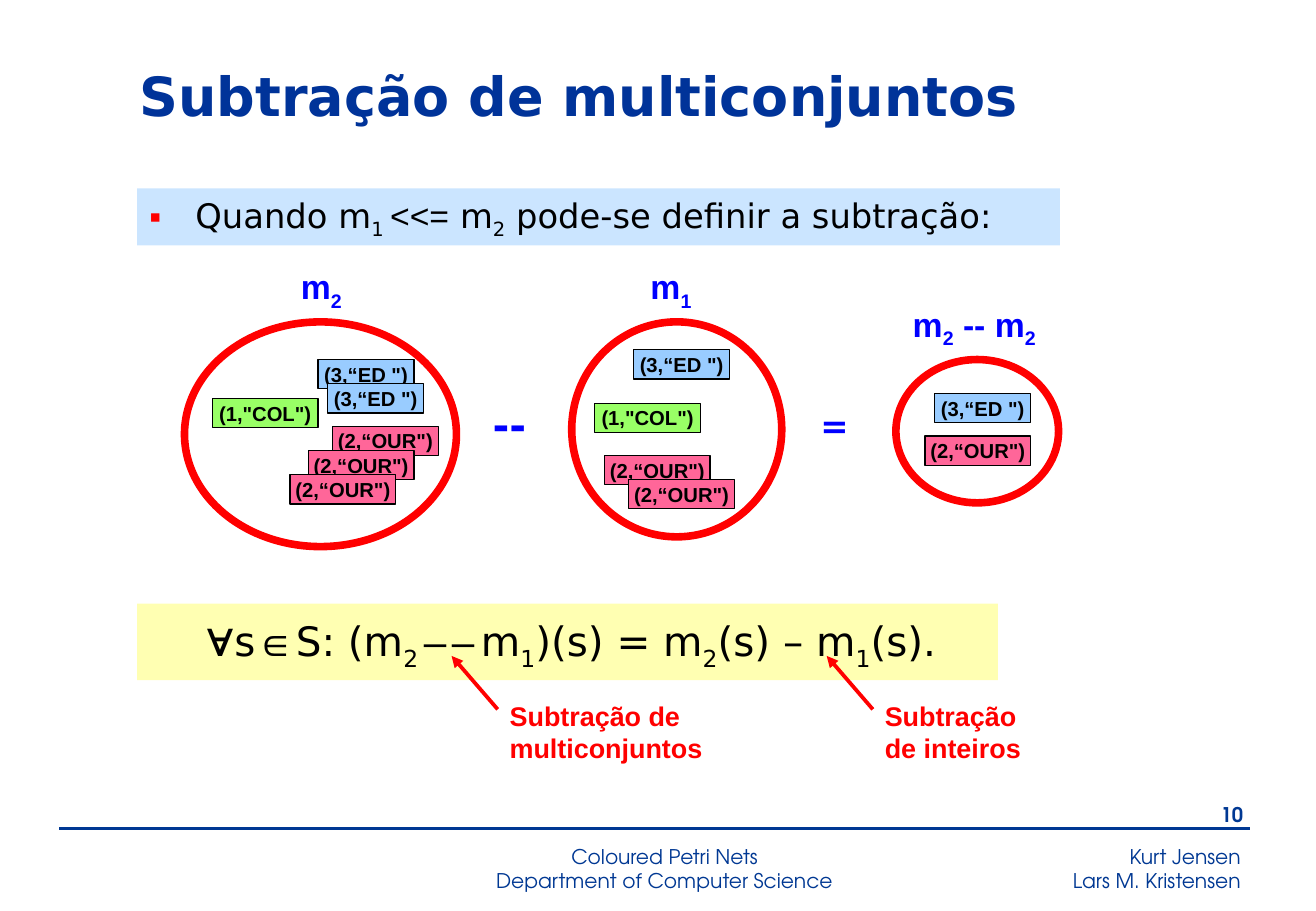
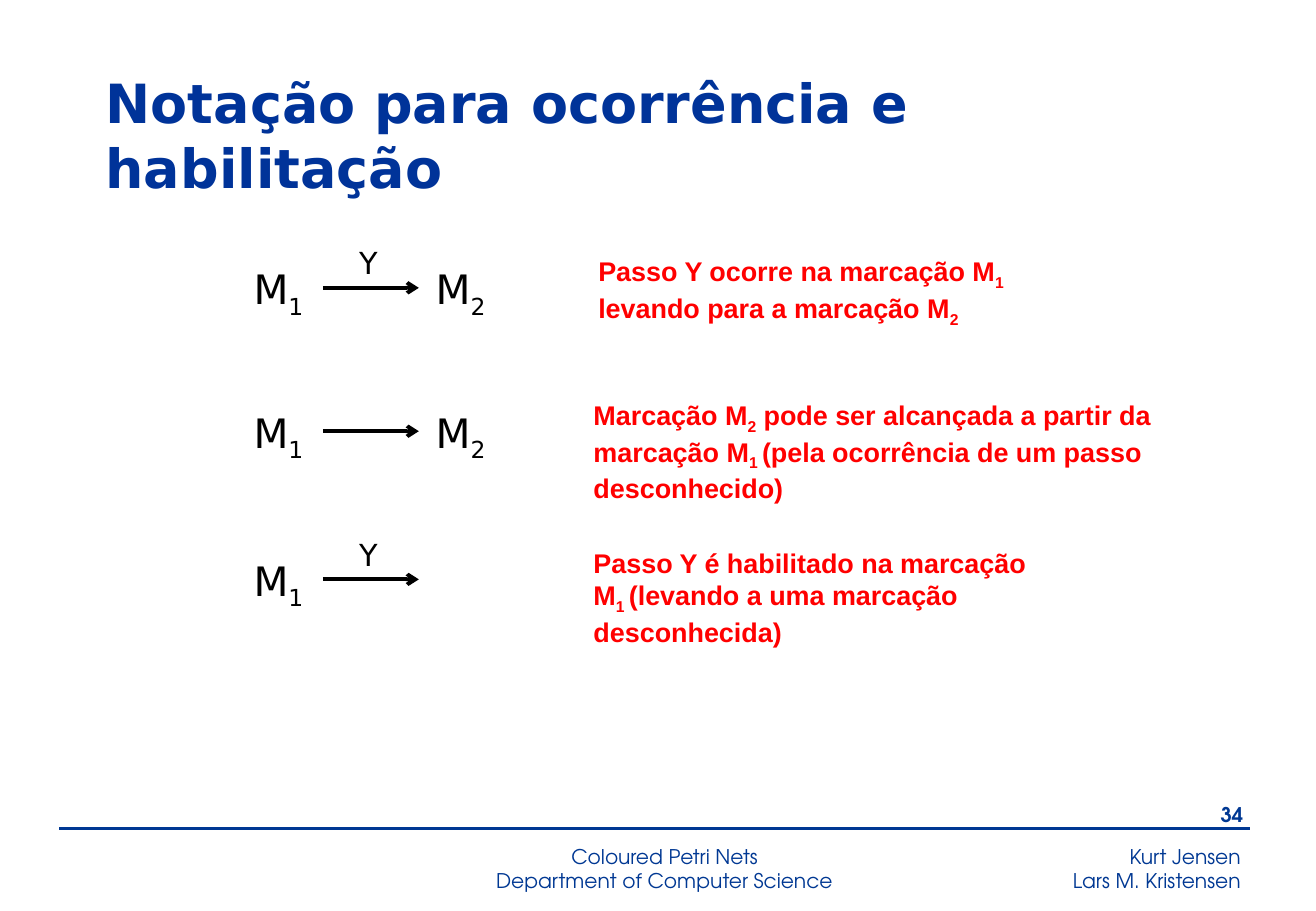
from lxml.etree import SubElement
from pptx import Presentation
from pptx.dml.color import RGBColor
from pptx.enum.shapes import MSO_CONNECTOR, MSO_SHAPE
from pptx.enum.text import MSO_ANCHOR, MSO_AUTO_SIZE, PP_ALIGN
from pptx.oxml.ns import qn
from pptx.util import Inches, Pt

SANS, ARIAL, FOOT = "DejaVu Sans", "Arial", "TeX Gyre Adventor"
NAVY, TITLE, RED, BLUE, BLACK = "003893", "003399", "FF0000", "0000FF", "000000"
SKY, YELLOW = "99CCFF", "FFFF66"
# Text, fill and width of each kind of token
TOKENS = {
    "col": ('(1,"COL")', "99FF66", 0.87),
    "our": ('(2,“OUR")', "FF6699", 0.87),
    "ed": ('(3,“ED ")', SKY, 0.79),
}


def paint(target, color, alpha=None):
    """Give a fill or a line's fill a solid colour, alpha in percent."""
    target.solid()
    target.fore_color.rgb = RGBColor.from_string(color)
    if alpha:
        clr = target._xPr.find(qn("a:solidFill")).find(qn("a:srgbClr"))
        SubElement(clr, qn("a:alpha"), val=str(alpha * 1000))


def bullet(para, char, color, hang):
    pPr = para._p.get_or_add_pPr()
    pPr.set("marL", str(Inches(hang)))
    pPr.set("indent", str(-Inches(hang)))
    SubElement(SubElement(pPr, qn("a:buClr")), qn("a:srgbClr"), val=color)
    SubElement(pPr, qn("a:buFont"), typeface=ARIAL)
    SubElement(pPr, qn("a:buChar"), char=char)


def write(shape, *paras, size=12, font=ARIAL, color=BLACK, bold=False,
          align=PP_ALIGN.LEFT, anchor=MSO_ANCHOR.TOP, wrap=True,
          spacing=None, mark=None):
    """Fill a shape with paragraphs; text between underscores is subscript.

    A paragraph is a string or a list of (text, size, font) pieces.
    """
    frame = shape.text_frame
    frame.word_wrap = wrap
    frame.auto_size = MSO_AUTO_SIZE.NONE
    frame.vertical_anchor = anchor
    for i, item in enumerate(paras):
        para = frame.add_paragraph() if i else frame.paragraphs[0]
        para.alignment = align
        para.space_before = Pt(0)
        if spacing:
            para.line_spacing = spacing
        if mark:
            bullet(para, mark, RED, 0.38)
        pieces = [(item, size, font)] if isinstance(item, str) else item
        for text, points, face in pieces:
            for j, part in enumerate(text.split("_")):
                if not part:
                    continue
                run = para.add_run()
                run.text = part
                run.font.size = Pt(points)
                run.font.name = face
                run.font.bold = bold
                run.font.color.rgb = RGBColor.from_string(color)
                if j % 2:
                    run._r.get_or_add_rPr().set("baseline", "-25000")


def label(slide, box, *paras, **style):
    shape = slide.shapes.add_textbox(*map(Inches, box))
    write(shape, *paras, **style)
    return shape


def shape(slide, kind, box, fill=None, line=None, width=0.75, alpha=None):
    item = slide.shapes.add_shape(kind, *map(Inches, box))
    item.shadow.inherit = False
    if fill:
        paint(item.fill, fill, alpha)
    else:
        item.fill.background()
    if line:
        paint(item.line.fill, line)
        item.line.width = Pt(width)
    else:
        item.line.fill.background()
    return item


def rule(slide, start, end, color, width, head=None):
    """Draw a straight line, with an arrowhead at its end if one is named."""
    line = slide.shapes.add_connector(
        MSO_CONNECTOR.STRAIGHT, *map(Inches, (*start, *end)))
    paint(line.line.fill, color)
    line.line.width = Pt(width)
    if head:
        SubElement(line.line._get_or_add_ln(), qn("a:tailEnd"), type=head)
    SubElement(line._element.spPr, qn("a:effectLst"))


def place(item, box):
    item.left, item.top, item.width, item.height = map(Inches, box)


def start(deck, layout, title, box, number):
    """Add a slide with its title, footer and number."""
    slide = deck.slides.add_slide(deck.slide_layouts[layout])
    head = slide.shapes.title
    place(head, box)
    write(head, title, size=32, font=SANS, color=TITLE, bold=True,
          anchor=MSO_ANCHOR.MIDDLE)
    foot = dict(font=FOOT, color=NAVY)
    rule(slide, (0.49, 6.82), (10.3, 6.82), NAVY, 1.5)
    label(slide, (3.41, 6.9, 4.13, 0.47), "Coloured Petri Nets",
          "Department of Computer Science", align=PP_ALIGN.CENTER, **foot)
    label(slide, (6.95, 6.9, 3.37, 0.5), "Kurt Jensen",
          "Lars M. Kristensen", align=PP_ALIGN.RIGHT, **foot)
    label(slide, (9.63, 6.56, 0.71, 0.33), str(number), bold=True,
          align=PP_ALIGN.RIGHT, **foot)
    return slide


def bag(slide, box, name, shift, tokens):
    """Draw a multiset: its name, its ring and tokens offset from the box."""
    left, top, _, _ = box
    for kind, dx, dy in tokens:
        text, fill, width = TOKENS[kind]
        tag = shape(slide, MSO_SHAPE.RECTANGLE,
                    (left + dx, top + dy, width, 0.24), fill, BLACK)
        write(tag, text, bold=True, wrap=False, align=PP_ALIGN.CENTER,
              anchor=MSO_ANCHOR.MIDDLE)
    shape(slide, MSO_SHAPE.OVAL, box, line=RED, width=4.5)
    label(slide, (left + shift, top - 0.51, 1.5, 0.47), name,
          size=20, color=BLUE, bold=True)


def callout(slide, left, top, *lines):
    label(slide, (left, top, 1.81, 0.64), *lines,
          size=16, color=RED, bold=True)
    rule(slide, (left, top + 0.13), (left - 0.38, top - 0.31),
         RED, 2.25, "triangle")


def formula(slide, box):
    band = shape(slide, MSO_SHAPE.RECTANGLE, box, YELLOW, alpha=50)
    band.text_frame.margin_left = Inches(0.57)
    write(band, [
        ("∀", 28, ARIAL), ("s", 24, SANS), ("∈", 24, ARIAL),
        ("S: (m_2_", 24, SANS), (" ", 12, ARIAL), ("–", 24, ARIAL),
        (" ", 12, ARIAL), ("–", 24, ARIAL), (" ", 12, SANS),
        ("m_1_)(s) = m_2_(s) – m_1_(s).", 24, SANS),
    ])


def subtraction(deck):
    slide = start(deck, 1, "Subtração de multiconjuntos",
                  (1.05, 0.44, 8.31, 0.69), 10)
    body = slide.placeholders[1]
    place(body, (1.13, 1.55, 7.6, 0.47))
    paint(body.fill, SKY, 50)
    write(body, [("Quando m_1 _", 20, SANS), ("<<=", 20, ARIAL),
                 (" m_2_ pode-se definir a subtração:", 20, SANS)], mark="▪")
    bag(slide, (1.52, 2.65, 2.24, 1.85), "m_2_", 0.86, [
        ("col", 0.23, 0.63), ("ed", 1.1, 0.31), ("ed", 1.18, 0.51),
        ("our", 1.22, 0.86), ("our", 1.02, 1.06), ("our", 0.87, 1.26)])
    bag(slide, (4.71, 2.65, 1.73, 1.77), "m_1_", 0.55, [
        ("col", 0.19, 0.67), ("our", 0.27, 1.1), ("our", 0.47, 1.3),
        ("ed", 0.51, 0.23)])
    bag(slide, (7.38, 2.96, 1.34, 1.18), "m_2_ -- m_2_", 0.04, [
        ("ed", 0.32, 0.28), ("our", 0.24, 0.63)])
    sign = dict(font=SANS, color=BLUE, bold=True)
    label(slide, (3.96, 3.24, 0.63, 0.47), "--", size=24, **sign)
    label(slide, (6.66, 3.28, 0.53, 0.47), "=", size=20, **sign)
    formula(slide, (1.13, 4.97, 7.09, 0.63))
    callout(slide, 4.1, 5.71, "Subtração de", "multiconjuntos")
    callout(slide, 7.19, 5.71, "Subtração", "de inteiros")


def step(slide, top, note, box, above=None, after=None):
    """Draw one M → M row with its explanation."""
    math = dict(font=SANS, spacing=0.8)
    label(slide, (1.99, top, 0.71, 0.47), "M_1_", size=24, **math)
    if after:
        label(slide, (3.49, top, 0.71, 0.47), after, size=24, **math)
    rule(slide, (2.66, top + 0.2), (3.45, top + 0.2), BLACK, 2.25, "arrow")
    if above:
        label(slide, (2.86, top - 0.15, 0.43, 0.47), above, size=18, **math)
    left, width, height = box
    label(slide, (left, top - 0.12, width, height), note,
          size=16, color=RED, bold=True)


def notation(deck):
    slide = start(deck, 5, "Notação para ocorrência e habilitação",
                  (0.77, 0.76, 9.7, 0.69), 34)
    step(slide, 2.17,
         "Passo Y ocorre na marcação M_1_ levando para a marcação M_2_",
         (4.83, 4.02, 0.71), above="Y", after="M_2_")
    step(slide, 3.35,
         "Marcação M_2_ pode ser alcançada a partir da marcação M_1 _"
         "(pela ocorrência de um passo desconhecido)",
         (4.79, 4.92, 0.98), after="M_2_")
    step(slide, 4.57,
         "Passo Y é habilitado na marcação M_1 _"
         "(levando a uma marcação desconhecida)",
         (4.79, 3.82, 0.94), above="Y")


def main():
    deck = Presentation()
    deck.slide_width, deck.slide_height = Inches(10.84), Inches(7.5)
    subtraction(deck)
    notation(deck)
    deck.save("out.pptx")


if __name__ == "__main__":
    main()
